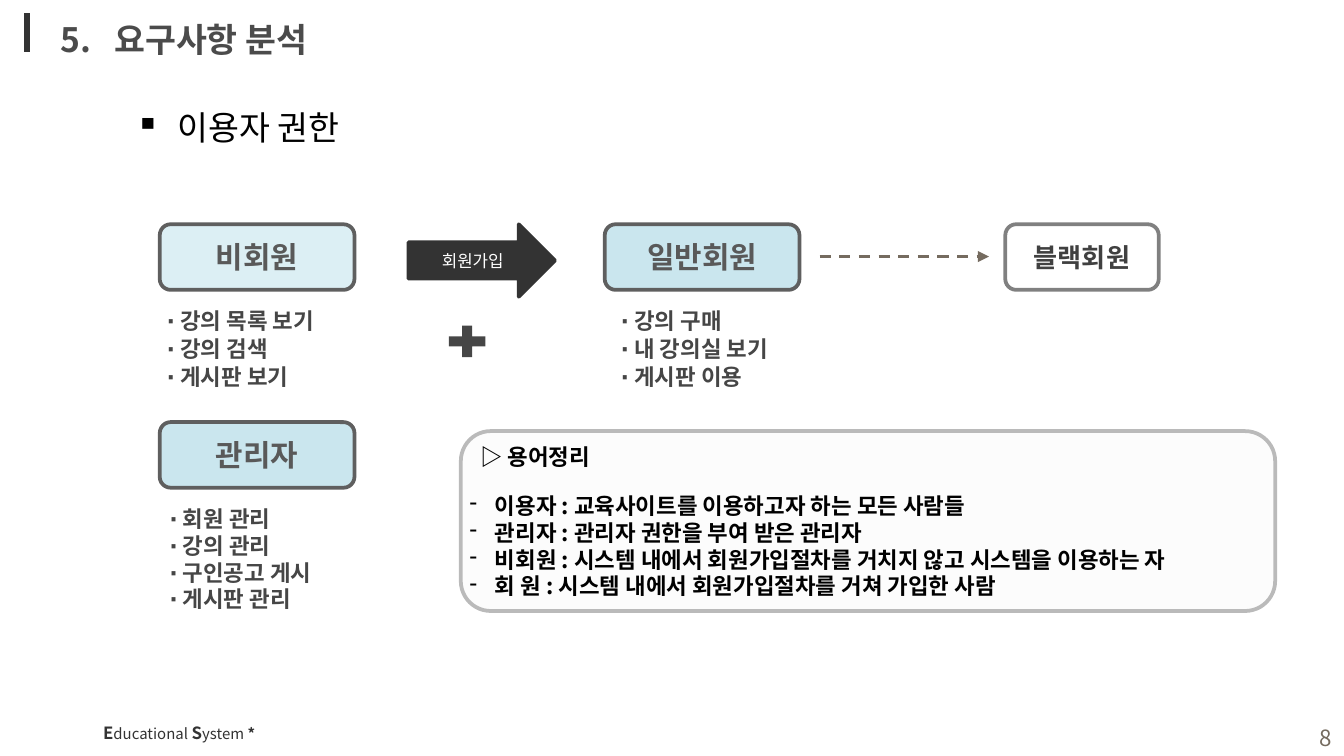
from lxml import etree
from pptx import Presentation
from pptx.dml.color import RGBColor
from pptx.enum.dml import MSO_LINE
from pptx.enum.shapes import MSO_CONNECTOR, MSO_SHAPE as Shape
from pptx.enum.text import MSO_ANCHOR as Anchor, PP_ALIGN as Align
from pptx.oxml.ns import qn
from pptx.util import Cm, Pt

COLOURS = {
    "dark": "333333", "label": "595959", "list": "464646", "title": "4B4B4B",
    "black": "000000", "white": "FFFFFF", "brown": "756B5F", "blocked": "404040",
    "pale": "DCEFF4", "blue": "CAE6EE", "edge": "5F5F5F", "grey": "808080",
    "panel": "F8F8F8", "panel edge": "BABABA",
}
KOREAN = "Noto Sans CJK KR"


def rgb(name):
    return RGBColor.from_string(COLOURS[name])


def write(box, lines, size=12, colour="black", bold=False, font=KOREAN, align=Align.LEFT,
          anchor=Anchor.TOP, wrap=True, pitch=None, after=0, bullet=None, indent=0, tab=0):
    """Append one paragraph per line; a line is text or a list of (text, size, bold)."""
    frame = box.text_frame
    frame.word_wrap, frame.vertical_anchor = wrap, anchor
    for line in lines:
        para = frame.paragraphs[0] if not frame.text else frame.add_paragraph()
        props = para._p.get_or_add_pPr()
        if indent:
            props.set("marL", str(Cm(indent)))
        if bullet:
            props.set("indent", str(-Cm(indent)))
            etree.SubElement(props, qn("a:buChar"), char=bullet)
        if tab:
            stops = etree.SubElement(props, qn("a:tabLst"))
            etree.SubElement(stops, qn("a:tab"), pos=str(Cm(tab)), algn="l")
        para.alignment = align
        para.line_spacing = Pt(pitch or size * 1.2)
        if after:
            para.space_after = Pt(after)
        spans = [(line, size, bold)] if isinstance(line, str) else line
        for text, span_size, span_bold in spans:
            span = para.add_run()
            span.text = text
            span.font.name, span.font.size, span.font.bold = font, Pt(span_size), span_bold
            span.font.color.rgb = rgb(colour)
            east_asian = etree.SubElement(span._r.get_or_add_rPr(), qn("a:ea"))
            east_asian.set("typeface", KOREAN)


def add_block(kind, left, top, width, height, fill=None, edge=None):
    block = page.shapes.add_shape(kind, Cm(left), Cm(top), Cm(width), Cm(height))
    block.shadow.inherit = False
    if fill:
        block.fill.solid()
        block.fill.fore_color.rgb = rgb(fill)
    else:
        block.fill.background()
    if edge:
        block.line.color.rgb = rgb(edge)
        block.line.width = Pt(2)
    else:
        block.line.fill.background()
    return block


deck = Presentation()
deck.slide_width, deck.slide_height = Cm(25.4), Cm(14.29)
page = deck.slides.add_slide(deck.slide_layouts[6])

# Title bar and dashed arrow
for left, top, right, bottom, colour, width in [
    (0.51, 0.25, 0.51, 0.99, "dark", 3),
    (15.49, 4.85, 18.69, 4.85, "brown", 1.5),
]:
    line = page.shapes.add_connector(
        MSO_CONNECTOR.STRAIGHT, Cm(left), Cm(top), Cm(right), Cm(bottom))
    line.line.color.rgb = rgb(colour)
    line.line.width = Pt(width)
    etree.SubElement(line._element.spPr, qn("a:effectLst"))
line.line.dash_style = MSO_LINE.DASH
etree.SubElement(line.line._get_or_add_ln(), qn("a:tailEnd"), type="triangle")

# Headings, permission lists, footer and page number
footer = [("E", 9, True), ("ducational ", 8, False), ("S", 9, True),
          ("ystem ", 8, False), ("*", 8, True)]
listing = dict(colour="list", bold=True, font="Arial")
for left, top, width, height, lines, style in [
    (0.89, 0.23, 6.2, 1.02, ["5.\t요구사항 분석"],
     dict(size=18, colour="title", bold=True, tab=1.02)),
    (2.31, 1.9, 4.42, 1.02, ["이용자 권한"],
     dict(size=18, wrap=False, bullet="▪", indent=0.79)),
    (2.9, 5.66, 5.36, 1.83, ["∙ 강의 목록 보기", "∙ 강의 검색", "∙ 게시판 보기"],
     dict(listing, pitch=15)),
    (11.48, 5.66, 4.83, 1.85, ["∙ 강의 구매", "∙ 내 강의실 보기", "∙ 게시판 이용"],
     dict(listing, pitch=15)),
    (2.95, 9.42, 5.08, 2.31,
     ["∙ 회원 관리", "∙ 강의 관리", "∙ 구인공고 게시", "∙ 게시판 관리"], listing),
    (1.7, 13.54, 3.4, 0.64, [footer], dict(size=9, colour="dark", wrap=False)),
    (19.51, 13.56, 5.92, 0.76, ["8"],
     dict(colour="brown", align=Align.RIGHT, anchor=Anchor.MIDDLE)),
]:
    box = page.shapes.add_textbox(Cm(left), Cm(top), Cm(width), Cm(height))
    write(box, lines, **style)

# User roles and the sign-up arrow
centred = dict(align=Align.CENTER, anchor=Anchor.MIDDLE)
for kind, left, top, width, height, fill, edge, text, size, colour, bold in [
    (Shape.ROUNDED_RECTANGLE, 3.02, 4.24, 3.68, 1.24, "pale", "edge", "비회원", 16, "label", True),
    (Shape.ROUNDED_RECTANGLE, 11.43, 4.24, 3.68, 1.24, "blue", "edge", "일반회원", 16, "label", True),
    (Shape.ROUNDED_RECTANGLE, 3.02, 7.98, 3.68, 1.24, "blue", "edge", "관리자", 16, "label", True),
    (Shape.ROUNDED_RECTANGLE, 19, 4.24, 2.9, 1.24, None, "grey", "블랙회원", 14, "blocked", True),
    (Shape.RIGHT_ARROW, 7.72, 4.24, 2.77, 1.37, "dark", "dark", "회원가입", 9, "white", False),
]:
    block = add_block(kind, left, top, width, height, fill, edge)
    write(block, [text], size=size, colour=colour, bold=bold, **centred)
add_block(Shape.MATH_PLUS, 8.36, 6.05, 0.94, 0.81, "list")

# Glossary panel
panel = add_block(Shape.ROUNDED_RECTANGLE, 8.71, 8.15, 15.39, 3.4, "panel", "panel edge")
panel_colour = panel._element.spPr.find(qn("a:solidFill"))[0]
etree.SubElement(panel_colour, qn("a:alpha"), val="30000")
frame = panel.text_frame
frame.margin_left = frame.margin_right = frame.margin_top = frame.margin_bottom = 0
glossary = dict(bold=True, anchor=Anchor.MIDDLE)
write(panel, ["▷ 용어정리"], after=12, indent=0.2, **glossary)
write(panel, [
    "이용자 : 교육사이트를 이용하고자 하는 모든 사람들",
    "관리자 : 관리자 권한을 부여 받은 관리자",
    "비회원 : 시스템 내에서 회원가입절차를 거치지 않고 시스템을 이용하는 자",
    "회 원 : 시스템 내에서 회원가입절차를 거쳐 가입한 사람",
], bullet="-", indent=0.48, **glossary)

deck.save("out.pptx")
